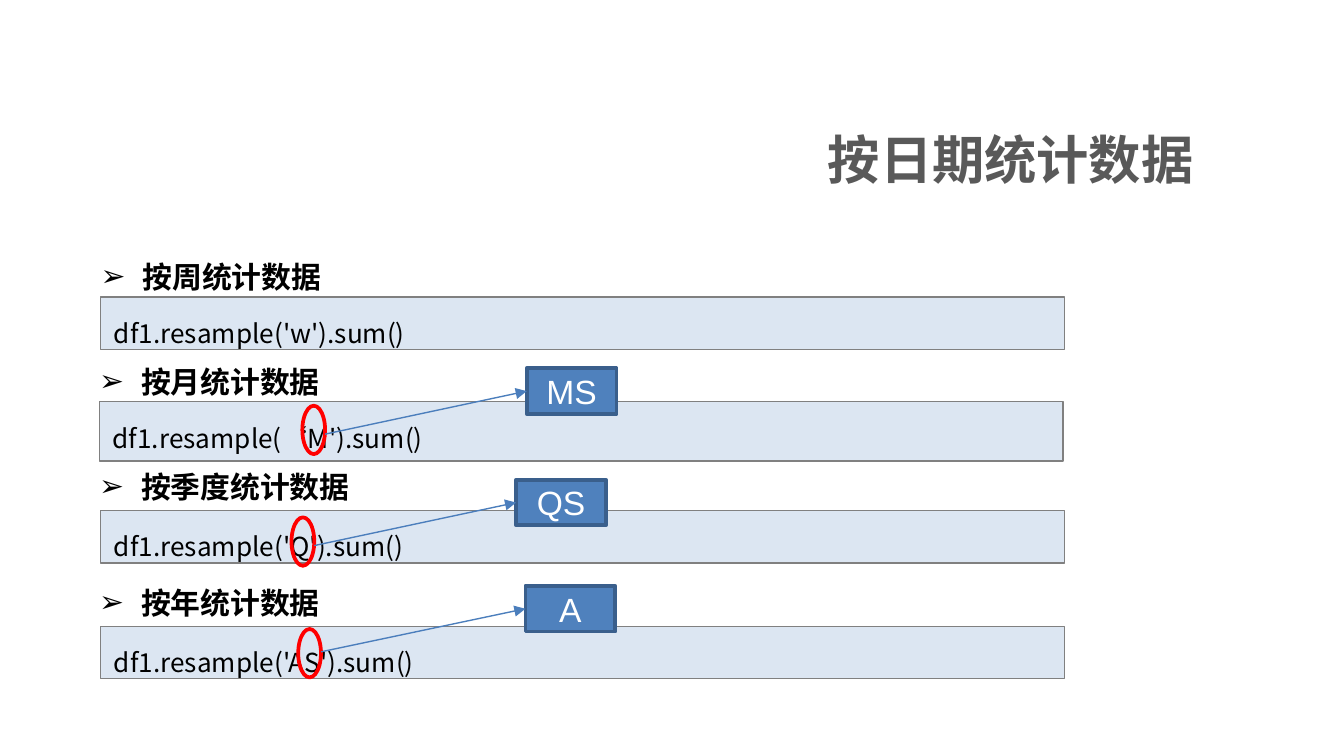
from lxml.etree import SubElement
from pptx import Presentation
from pptx.dml.color import RGBColor
from pptx.enum.shapes import MSO_CONNECTOR, MSO_SHAPE
from pptx.enum.text import MSO_ANCHOR, PP_ALIGN
from pptx.oxml.ns import qn
from pptx.util import Pt

BLACK = RGBColor(0x00, 0x00, 0x00)
WHITE = RGBColor(0xFF, 0xFF, 0xFF)
TITLE_GRAY = RGBColor(0x59, 0x59, 0x59)
CODE_FILL = RGBColor(0xDC, 0xE6, 0xF2)
CODE_BORDER = RGBColor(0x80, 0x80, 0x80)
MARK_RED = RGBColor(0xFF, 0x00, 0x00)
LABEL_FILL = RGBColor(0x4F, 0x81, 0xBD)
LABEL_BORDER = RGBColor(0x3A, 0x5F, 0x8C)
ARROW_BLUE = RGBColor(0x4B, 0x7E, 0xBC)

CJK = "Noto Sans CJK SC"
MARK_WIDTH, MARK_HEIGHT = 12.2, 25.9


class SlideStyle:
    formats = {
        "title": {"name": CJK, "size": Pt(28), "bold": True},
        "heading": {"name": CJK, "size": Pt(16), "bold": True},
        "code": {"name": CJK, "size": Pt(14), "bold": False},
        "label": {"name": "Arial", "size": Pt(18), "bold": False},
    }
    colors = {"title": TITLE_GRAY, "heading": BLACK, "code": BLACK, "label": WHITE}

    def __init__(self, slide):
        self.slide = slide

    def fill_text(self, holder, text, role, align, anchor):
        frame = holder.text_frame
        frame.word_wrap = True
        frame.vertical_anchor = anchor
        paragraph = frame.paragraphs[0]
        paragraph.alignment = align
        run = paragraph.add_run()
        run.text = text
        for attribute, value in self.formats[role].items():
            setattr(run.font, attribute, value)
        run.font.color.rgb = self.colors[role]
        SubElement(run._r.get_or_add_rPr(), qn("a:ea"), typeface=run.font.name)
        return paragraph

    def outline(self, kind, left, top, width, height, border, weight, fill=None):
        figure = self.slide.shapes.add_shape(
            kind, Pt(left), Pt(top), Pt(width), Pt(height))
        figure.shadow.inherit = False
        if fill is None:
            figure.fill.background()
        else:
            figure.fill.solid()
            figure.fill.fore_color.rgb = fill
        figure.line.color.rgb = border
        figure.line.width = Pt(weight)
        return figure

    def title(self, text, left, top, width, height):
        heading = self.slide.shapes.title
        place = {"left": left, "top": top, "width": width, "height": height}
        for attribute, value in place.items():
            setattr(heading, attribute, Pt(value))
        self.fill_text(heading, text, "title", PP_ALIGN.RIGHT, MSO_ANCHOR.MIDDLE)

    def heading(self, text, left, top, height):
        holder = self.slide.shapes.add_textbox(
            Pt(left), Pt(top), Pt(648), Pt(height))
        paragraph = self.fill_text(
            holder, text, "heading", PP_ALIGN.LEFT, MSO_ANCHOR.TOP)
        properties = paragraph._p.get_or_add_pPr()
        properties.set("marL", str(Pt(22.5)))
        properties.set("indent", str(-Pt(22.5)))
        SubElement(properties, qn("a:buFont"), typeface="Arial")
        SubElement(properties, qn("a:buChar"), char="➢")
        paragraph.line_spacing = Pt(24)

    def code(self, text, left, top, height):
        panel = self.outline(MSO_SHAPE.RECTANGLE, left, top, 516.2, height,
                             CODE_BORDER, 0.75, CODE_FILL)
        paragraph = self.fill_text(
            panel, text, "code", PP_ALIGN.LEFT, MSO_ANCHOR.TOP)
        paragraph.line_spacing = Pt(24)

    def mark(self, left, top):
        self.outline(MSO_SHAPE.OVAL, left, top, MARK_WIDTH, MARK_HEIGHT,
                     MARK_RED, 2)

    def label(self, text, left, top):
        tag = self.outline(MSO_SHAPE.RECTANGLE, left, top, 48.2, 24.5,
                           LABEL_BORDER, 2, LABEL_FILL)
        self.fill_text(tag, text, "label", PP_ALIGN.CENTER, MSO_ANCHOR.MIDDLE)
        return tag

    def arrow(self, left, top, target):
        arrow = self.slide.shapes.add_connector(
            MSO_CONNECTOR.STRAIGHT, Pt(left), Pt(top), target.left, target.top)
        arrow.end_connect(target, 1)
        arrow.line.color.rgb = ARROW_BLUE
        arrow.line.width = Pt(0.75)
        properties = arrow._element.spPr
        SubElement(properties.get_or_add_ln(), qn("a:tailEnd"), type="triangle")
        SubElement(properties, qn("a:effectLst"))


def main():
    deck = Presentation()
    deck.slide_width, deck.slide_height = Pt(720), Pt(405)
    style = SlideStyle(deck.slides.add_slide(deck.slide_layouts[5]))
    style.title("按日期统计数据", 130.3, 62.6, 516.2, 44.6)

    sections = [
        ("按周统计数据", 46.8, 130.3, "df1.resample('w').sum()", 54, 159.1, 28.1),
        ("按月统计数据", 46.1, 186.5, "df1.resample(‘M').sum()", 53.3, 215.3, 31.7),
        ("按季度统计数据", 46.1, 242.6, "df1.resample('Q').sum()", 54, 273.6, 28.1),
        ("按年统计数据", 46.1, 304.6, "df1.resample('AS').sum()", 54, 335.5, 28.1),
    ]
    for topic, topic_left, topic_top, code, code_left, code_top, height in sections:
        style.heading(topic, topic_left, topic_top, height)
        style.code(code, code_left, code_top, height)

    alternatives = [
        ("MS", 282.2, 197.3, 162, 217.4, 232.6),
        ("QS", 276.5, 257, 156.2, 277.2, 292.3),
        ("A", 281.5, 313.9, 159.8, 337, 349.2),
    ]
    for alias, left, top, mark_left, mark_top, arrow_top in alternatives:
        style.mark(mark_left, mark_top)
        tag = style.label(alias, left, top)
        style.arrow(mark_left + MARK_WIDTH, arrow_top, tag)

    deck.save("out.pptx")


if __name__ == "__main__":
    main()
